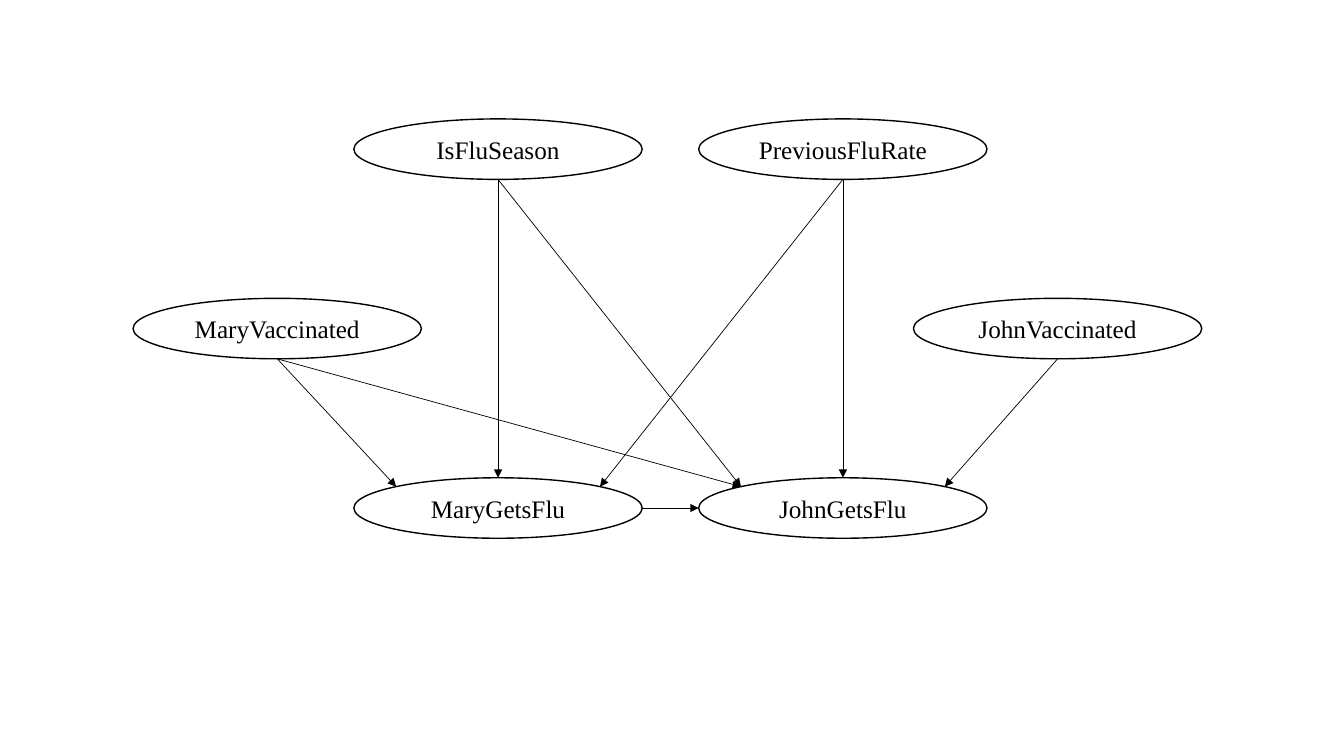
"""Build a slide with a Bayesian network of flu infection."""
from dataclasses import dataclass
from math import cos, pi, sin

from lxml import etree
from pptx import Presentation
from pptx.dml.color import RGBColor
from pptx.enum import shapes, text
from pptx.oxml import ns
from pptx.util import Inches, Pt


@dataclass(frozen=True)
class Theme:
    """Colours, type and line widths."""
    ink: RGBColor = RGBColor(0, 0, 0)
    paper: RGBColor = RGBColor(255, 255, 255)
    font: str = "Times New Roman"
    size: Pt = Pt(18)
    outline: Pt = Pt(1)
    arrow: Pt = Pt(0.5)


THEME = Theme()
WIDTH, HEIGHT = 2.86, 0.6
TOP_ROW, MIDDLE_ROW, BOTTOM_ROW = (1.18 + 1.78 * row for row in range(3))
MARY_COLUMN, JOHN_COLUMN = 3.51, 6.93
TOP, UPPER_LEFT, LEFT, BOTTOM, RIGHT, UPPER_RIGHT = 0, 1, 2, 4, 6, 7

VARIABLES = {
    "PreviousFluRate": (JOHN_COLUMN, TOP_ROW),
    "IsFluSeason": (MARY_COLUMN, TOP_ROW),
    "MaryVaccinated": (1.32, MIDDLE_ROW),
    "JohnVaccinated": (9.06, MIDDLE_ROW),
    "MaryGetsFlu": (MARY_COLUMN, BOTTOM_ROW),
    "JohnGetsFlu": (JOHN_COLUMN, BOTTOM_ROW),
}
INFLUENCES = [
    ("MaryVaccinated", BOTTOM, "MaryGetsFlu", UPPER_LEFT),
    ("IsFluSeason", BOTTOM, "MaryGetsFlu", TOP),
    ("IsFluSeason", BOTTOM, "JohnGetsFlu", UPPER_LEFT),
    ("PreviousFluRate", BOTTOM, "JohnGetsFlu", TOP),
    ("PreviousFluRate", BOTTOM, "MaryGetsFlu", UPPER_RIGHT),
    ("JohnVaccinated", BOTTOM, "JohnGetsFlu", UPPER_RIGHT),
    ("MaryGetsFlu", RIGHT, "JohnGetsFlu", LEFT),
    ("MaryVaccinated", BOTTOM, "JohnGetsFlu", UPPER_LEFT),
]


def add_variable(slide, label, left, top):
    """Add a labelled ellipse for one random variable."""
    oval = slide.shapes.add_shape(
        shapes.MSO_SHAPE.OVAL, Inches(left), Inches(top), Inches(WIDTH), Inches(HEIGHT))
    oval.shadow.inherit = False
    oval.fill.solid()
    oval.fill.fore_color.rgb = THEME.paper
    oval.line.color.rgb = THEME.ink
    oval.line.width = THEME.outline
    frame = oval.text_frame
    frame.vertical_anchor = text.MSO_ANCHOR.MIDDLE
    paragraph = frame.paragraphs[0]
    paragraph.alignment = text.PP_ALIGN.CENTER
    run = paragraph.add_run()
    run.text = label
    run.font.name = THEME.font
    run.font.size = THEME.size
    run.font.color.rgb = THEME.ink
    return oval


def site_point(oval, site):
    """Return the point of an ellipse's connection site, counted anticlockwise from the top."""
    angle = site * pi / 4
    x = oval.left + oval.width / 2 * (1 - sin(angle))
    y = oval.top + oval.height / 2 * (1 - cos(angle))
    return round(x), round(y)


def add_influence(slide, cause, cause_site, effect, effect_site):
    """Add an arrow glued to the sites of a cause and its effect."""
    arrow = slide.shapes.add_connector(
        shapes.MSO_CONNECTOR.STRAIGHT,
        *site_point(cause, cause_site), *site_point(effect, effect_site))
    arrow.line.color.rgb = THEME.ink
    arrow.line.width = THEME.arrow
    properties = arrow._element.spPr
    outline = properties.find(ns.qn("a:ln"))
    etree.SubElement(outline, ns.qn("a:tailEnd"), type="triangle")
    etree.SubElement(properties, ns.qn("a:effectLst"))
    glue = arrow._element.find(".//" + ns.qn("p:cNvCxnSpPr"))
    for tag, oval, site in (("a:stCxn", cause, cause_site), ("a:endCxn", effect, effect_site)):
        etree.SubElement(glue, ns.qn(tag), id=str(oval.shape_id), idx=str(site))


def main():
    """Draw the network and save it."""
    deck = Presentation()
    deck.slide_width, deck.slide_height = Inches(13.33), Inches(7.5)
    slide = deck.slides.add_slide(deck.slide_layouts[6])
    ovals = {label: add_variable(slide, label, *place) for label, place in VARIABLES.items()}
    for cause, cause_site, effect, effect_site in INFLUENCES:
        add_influence(slide, ovals[cause], cause_site, ovals[effect], effect_site)
    deck.save("out.pptx")


main()
